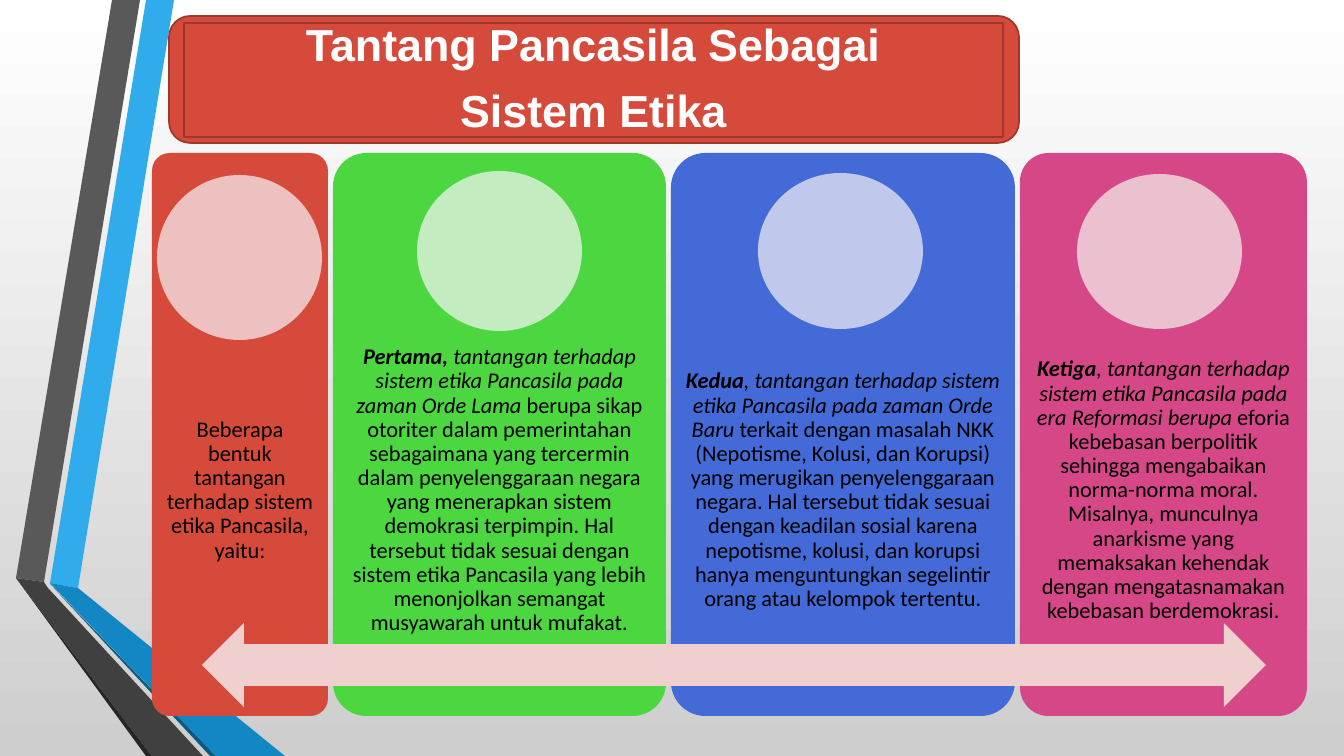
import pptx
import pptx.dml.color
import pptx.enum.shapes
import pptx.enum.text
import pptx.util

SHAPES = pptx.enum.shapes.MSO_SHAPE
PX = 914400 / 100.8

RIBBONS = [
    ("30ACEC", [(50, 583), (78, 588), (174, 0), (146, 0)]),
    ("595959", [(140, 0), (112, 0), (16, 578), (44, 582)]),
    ("262626", [(16, 578), (146, 756), (152, 756)]),
    ("0C5A82", [(50, 584), (210, 756), (216, 756)]),
    ("1287C3", [(50, 583), (216, 756), (285, 756), (78, 588)]),
    ("404040", [(203, 756), (48, 588), (44, 582), (16, 578), (152, 756)]),
]

# Panel width, panel colour, circle box, circle colour, (bold italic, italic, plain) text
PANELS = [
    (176, "D64A3B", (157, 175, 165, 165), "ECC1BF",
     ("", "", "Beberapa bentuk tantangan terhadap sistem etika Pancasila, yaitu:")),
    (333, "4CD63F", (417, 171, 165, 160), "C3ECC0",
     ("Pertama, ",
      "tantangan terhadap sistem etika Pancasila pada zaman Orde Lama ",
      "berupa sikap otoriter dalam pemerintahan sebagaimana yang tercermin dalam "
      "penyelenggaraan negara yang menerapkan sistem demokrasi terpimpin. Hal "
      "tersebut tidak sesuai dengan sistem etika Pancasila yang lebih menonjolkan "
      "semangat musyawarah untuk mufakat.")),
    (344, "436AD6", (758, 173, 165, 156), "C0C9EC",
     ("Kedua",
      ", tantangan terhadap sistem etika Pancasila pada zaman Orde Baru ",
      "terkait dengan masalah NKK (Nepotisme, Kolusi, dan Korupsi) yang merugikan "
      "penyelenggaraan negara. Hal tersebut tidak sesuai dengan keadilan sosial "
      "karena nepotisme, kolusi, dan korupsi hanya menguntungkan segelintir orang "
      "atau kelompok tertentu.")),
    (287, "D64787", (1077, 174, 165, 155), "ECC1CF",
     ("Ketiga",
      ", tantangan terhadap sistem etika Pancasila pada era Reformasi berupa ",
      "eforia kebebasan berpolitik sehingga mengabaikan norma-norma moral. "
      "Misalnya, munculnya anarkisme yang memaksakan kehendak dengan "
      "mengatasnamakan kebebasan berdemokrasi.")),
]
PANEL_LEFT, PANEL_TOP, PANEL_HEIGHT, PANEL_GAP = 152, 153, 563, 5
TEXT_TOP, TEXT_HEIGHT = 378, 225


def px(length):
    return pptx.util.Emu(round(length * PX))


def color(value):
    return pptx.dml.color.RGBColor.from_string(value)


class Deck:
    def __init__(self, width, height):
        self.presentation = pptx.Presentation()
        self.presentation.slide_width = px(width)
        self.presentation.slide_height = px(height)
        self.slide = self.presentation.slides.add_slide(self.presentation.slide_layouts[6])

    def background(self, top_color, bottom_color):
        fill = self.slide.background.fill
        fill.gradient()
        fill.gradient_angle = 270
        for stop, position, value in zip(fill.gradient_stops, (0, 1), (top_color, bottom_color)):
            stop.position = position
            stop.color.rgb = color(value)

    def paint(self, shape, fill, line=None):
        shape.shadow.inherit = False
        shape.fill.solid()
        shape.fill.fore_color.rgb = color(fill)
        if line:
            shape.line.color.rgb = color(line)
            shape.line.width = pptx.util.Pt(1.25)
        else:
            shape.line.fill.background()
        return shape

    def polygon(self, points, fill):
        builder = self.slide.shapes.build_freeform(*points[0], scale=PX)
        builder.add_line_segments(points[1:], close=True)
        return self.paint(builder.convert_to_shape(), fill)

    def shape(self, kind, box, fill, line=None, corner=None):
        shape = self.slide.shapes.add_shape(kind, *map(px, box))
        if corner is not None:
            shape.adjustments[0] = corner
        return self.paint(shape, fill, line)

    def text_box(self, box):
        return self.slide.shapes.add_textbox(*map(px, box))

    def set_text(self, shape, paragraphs, font, size, text_color, inset, space_after):
        """Fill a shape with paragraphs, each a (bold italic, italic, plain) triple."""
        frame = shape.text_frame
        frame.word_wrap = True
        frame.vertical_anchor = pptx.enum.text.MSO_ANCHOR.MIDDLE
        frame.margin_left = frame.margin_right = px(inset)
        frame.margin_top = frame.margin_bottom = px(inset)
        for index, parts in enumerate(paragraphs):
            paragraph = frame.add_paragraph() if index else frame.paragraphs[0]
            paragraph.alignment = pptx.enum.text.PP_ALIGN.CENTER
            paragraph.line_spacing = 0.9
            paragraph.space_after = pptx.util.Pt(space_after)
            paragraph.font.name = font
            paragraph.font.size = pptx.util.Pt(size)
            paragraph.font.color.rgb = color(text_color)
            for text, bold, italic in zip(parts, (True, False, False), (True, True, False)):
                if text:
                    run = paragraph.add_run()
                    run.text = text
                    run.font.bold = bold
                    run.font.italic = italic


def main():
    deck = Deck(1344, 756)
    deck.background("FFFFFF", "CECECE")
    for fill, points in RIBBONS:
        deck.polygon(points, fill)

    deck.shape(SHAPES.ROUNDED_RECTANGLE, (169, 16, 850, 127), "D64A3B", "9E372C")
    title = deck.shape(SHAPES.RECTANGLE, (184, 23, 819, 114), "D64A3B", "9E372C")
    title_lines = ["Tantang Pancasila Sebagai", "Sistem Etika"]
    deck.set_text(title, [("", "", line) for line in title_lines], "Arial", 32, "FFFFFF", 23, 12.5)
    for paragraph in title.text_frame.paragraphs:
        paragraph.runs[0].font.bold = True

    left = PANEL_LEFT
    for width, fill, circle, circle_fill, parts in PANELS:
        deck.shape(SHAPES.ROUNDED_RECTANGLE, (left, PANEL_TOP, width, PANEL_HEIGHT), fill, corner=0.1)
        label = deck.text_box((left, TEXT_TOP, width, TEXT_HEIGHT))
        deck.set_text(label, [parts], "Calibri", 16, "000000", 12, 5.6)
        deck.shape(SHAPES.OVAL, circle, circle_fill)
        left += width + PANEL_GAP

    deck.shape(SHAPES.LEFT_RIGHT_ARROW, (202, 623, 1064, 84), "F0D0CE")
    deck.presentation.save("out.pptx")


if __name__ == "__main__":
    main()
